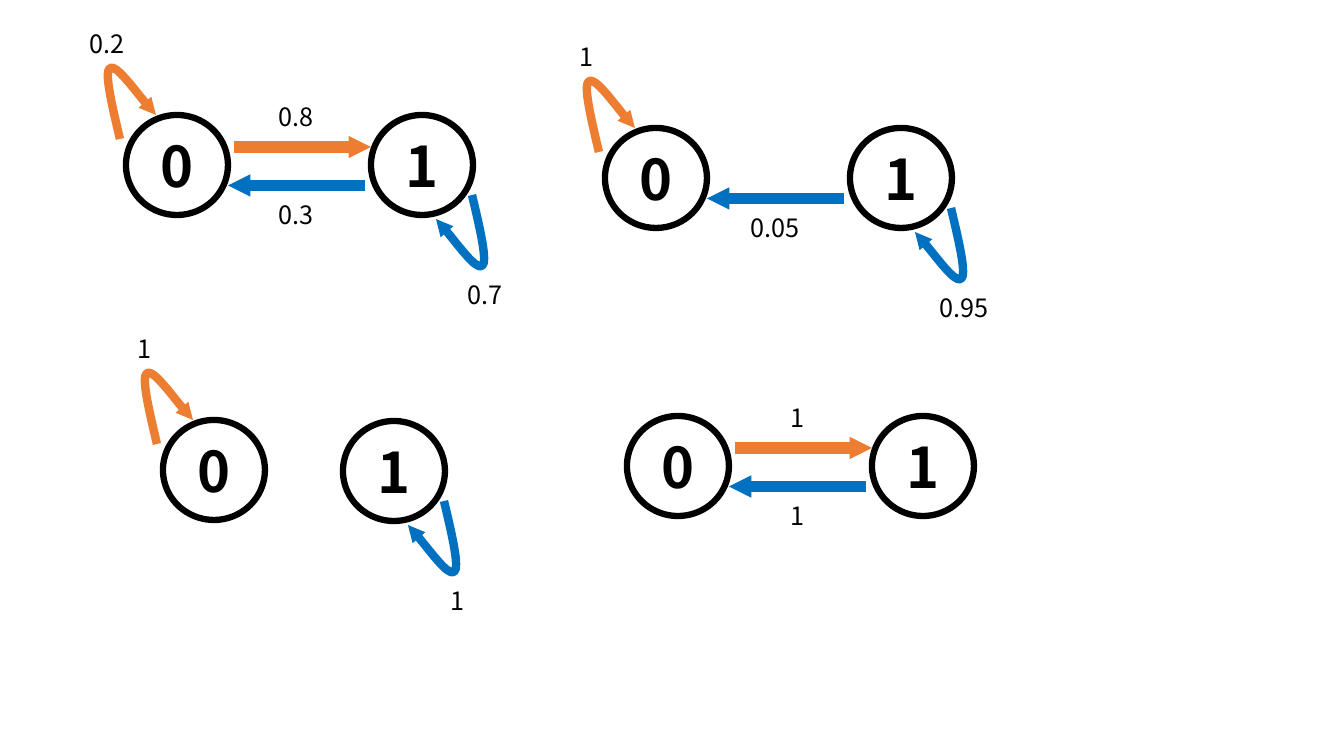
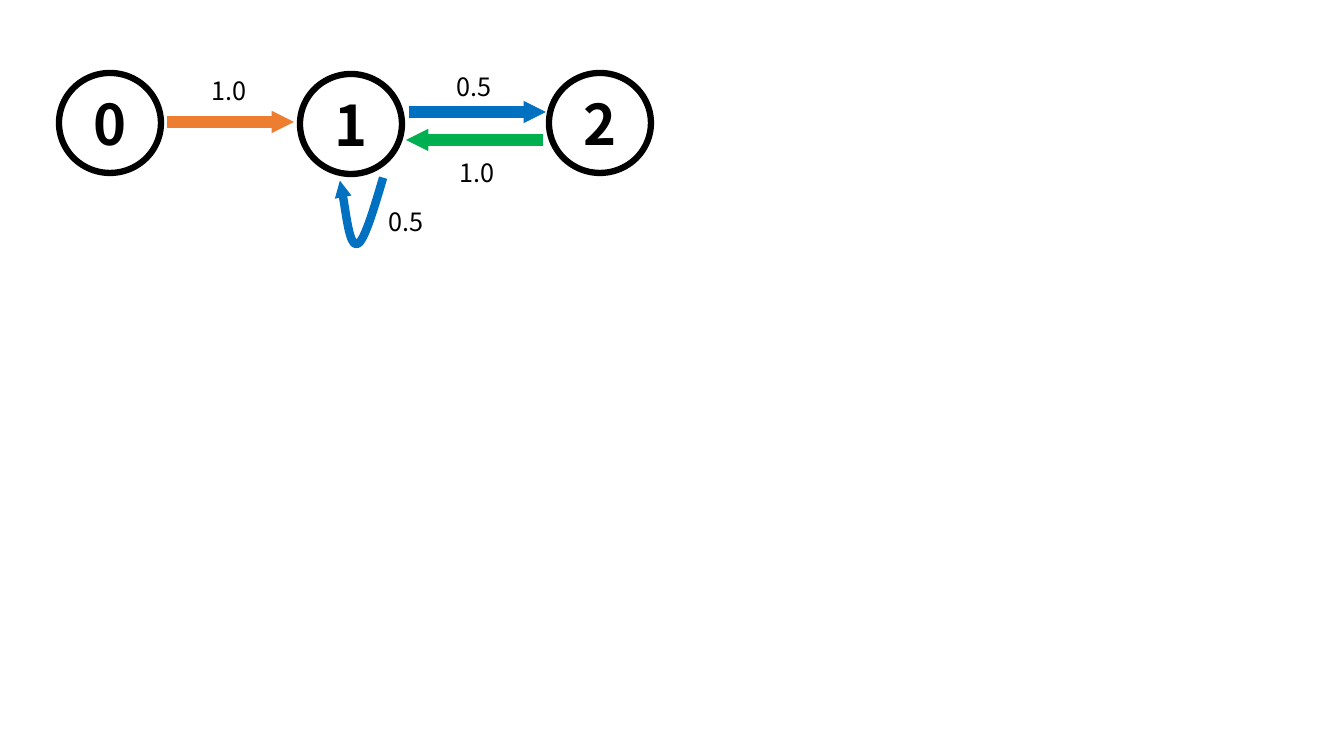
"""Draw Markov chain diagrams on two slides."""
from dataclasses import dataclass

from lxml import etree
from pptx import Presentation
from pptx import util as u
from pptx.dml.color import RGBColor
from pptx.enum import shapes, text
from pptx.oxml.ns import qn


@dataclass(frozen=True)
class Theme:
    """Colours, font, type sizes and line widths in points."""
    black: str = "000000"
    white: str = "FFFFFF"
    orange: str = "ED7D31"
    blue: str = "0070C0"
    green: str = "00B050"
    font: str = "Noto Sans CJK KR"
    state_size: int = 40
    label_size: int = 18
    ring: float = 4.5
    arrow: float = 8
    loop: float = 6


T = Theme()
SCALE = 914400 / 100.8
STATE_W, STATE_H = 102, 100
LABEL_W, LABEL_H, TALL_LABEL_H = 86, 40, 72
LOOP_W, LOOP_H = 48, 71
LOOP_START = (12, 71)
LOOP_CURVES = [[(4, 37), (-4, 4), (2, 0)], [(8, -4), (39, 38), (48, 47)]]


def px(value):
    """Turn pixels into EMU."""
    return u.Emu(round(value * SCALE))


def add_text(sp, words, size, bold=False):
    """Write one centred run into a shape."""
    tf = sp.text_frame
    tf.word_wrap = True
    p = tf.paragraphs[0]
    p.alignment = text.PP_ALIGN.CENTER
    r = p.add_run()
    r.text = words
    r.font.name = T.font
    r.font.size = u.Pt(size)
    r.font.bold = bold
    r.font.color.rgb = RGBColor.from_string(T.black)


def set_line(sp, color, width, arrowhead=False):
    """Style an outline, with a small triangle at its end if asked."""
    sp.line.color.rgb = RGBColor.from_string(color)
    sp.line.width = u.Pt(width)
    if arrowhead:
        ln = sp.element.spPr.find(qn("a:ln"))
        etree.SubElement(ln, qn("a:tailEnd"), type="triangle", w="sm", len="sm")


def add_state(group, x, y, name):
    """Draw a ringed state."""
    sp = group.shapes.add_shape(shapes.MSO_SHAPE.OVAL, px(x), px(y),
                                px(STATE_W), px(STATE_H))
    sp.shadow.inherit = False
    sp.fill.solid()
    sp.fill.fore_color.rgb = RGBColor.from_string(T.white)
    set_line(sp, T.black, T.ring)
    sp.text_frame.vertical_anchor = text.MSO_ANCHOR.MIDDLE
    add_text(sp, name, T.state_size, bold=True)


def add_label(group, x, y, words, height=LABEL_H):
    """Place a transition probability."""
    sp = group.shapes.add_textbox(px(x), px(y), px(LABEL_W), px(height))
    add_text(sp, words, T.label_size)
    sp.text_frame.auto_size = text.MSO_AUTO_SIZE.SHAPE_TO_FIT_TEXT


def add_arrow(group, x1, x2, y, color):
    """Draw a level arrow from x1 to x2."""
    sp = group.shapes.add_connector(shapes.MSO_CONNECTOR.STRAIGHT,
                                    px(x1), px(y), px(x2), px(y))
    set_line(sp, color, T.arrow, arrowhead=True)
    etree.SubElement(sp.element.spPr, qn("a:effectLst"))


def add_points(outline, command, points):
    """Append one drawing command to an outline."""
    node = etree.SubElement(outline, qn(command))
    for x, y in points:
        etree.SubElement(node, qn("a:pt"), x=str(px(x)), y=str(px(y)))


def add_loop(group, x, y, color, rotation=0):
    """Draw a curved self-transition in the box at x, y."""
    builder = group.shapes.build_freeform(px(x), px(y))
    builder.add_line_segments([(px(x + LOOP_W), px(y + LOOP_H))], close=False)
    sp = builder.convert_to_shape()
    outline = next(sp.element.iter(qn("a:path")))
    for node in list(outline):
        outline.remove(node)
    add_points(outline, "a:moveTo", [LOOP_START])
    for curve in LOOP_CURVES:
        add_points(outline, "a:cubicBezTo", curve)
    sp.rotation = rotation
    sp.shadow.inherit = False
    sp.fill.background()
    set_line(sp, color, T.loop, arrowhead=True)


def two_state_chain(s, x, y, gap=245, drop=0, stay0=None, go=None, back=None,
                    stay1=None, stay0_height=LABEL_H):
    """Draw states 0 and 1 with the transitions that have a probability."""
    group = s.shapes.add_group_shape()
    x1, y1 = x + gap, y + drop
    add_state(group, x, y, "0")
    add_state(group, x1, y1, "1")
    if back:
        add_arrow(group, x1 - 6, x + STATE_W, y + 70.5, T.blue)
    if go:
        add_label(group, x + 127, y - 19, go)
    if stay0:
        add_loop(group, x - 18, y - 47, T.orange)
    if back:
        add_label(group, x + 127, y + 79, back)
    if stay0:
        add_label(group, x - 62, y - 92, stay0, stay0_height)
    if stay1:
        add_loop(group, x1 + 65, y1 + 80, T.blue, rotation=180)
        add_label(group, x1 + 71, y1 + 159, stay1)
    if go:
        add_arrow(group, x + 108, x1, y + 32, T.orange)


def three_state_chain(s, x, y):
    """Draw states 0, 1 and 2 in a row."""
    group = s.shapes.add_group_shape()
    for name, dx, dy in (("0", 0, 0), ("1", 241, 1), ("2", 490, 0)):
        add_state(group, x + dx, y + dy, name)
    for start, end, dy, color in ((484, 347, 67, T.green),
                                  (108, 235, 49, T.orange),
                                  (350, 487, 39, T.blue)):
        add_arrow(group, x + start, x + end, y + dy, color)
    add_loop(group, x + 272, y + 94, T.blue, rotation=209.8)
    for words, dx, dy in (("1.0", 127, -3), ("0.5", 304, 128),
                          ("0.5", 372, -7), ("1.0", 375, 79)):
        add_label(group, x + dx, y + dy, words)


def main():
    """Build and save the slides."""
    prs = Presentation()
    prs.slide_width, prs.slide_height = px(1344), px(756)
    blank = prs.slide_layouts[6]

    s = prs.slides.add_slide(blank)
    two_state_chain(s, 126, 115, stay0="0.2", go="0.8", back="0.3", stay1="0.7")
    two_state_chain(s, 605, 128, stay0="1", back="0.05", stay1="0.95",
                    stay0_height=TALL_LABEL_H)
    two_state_chain(s, 163, 420, gap=180, drop=1, stay0="1", stay1="1",
                    stay0_height=TALL_LABEL_H)
    two_state_chain(s, 627, 416, go="1", back="1")

    s = prs.slides.add_slide(blank)
    three_state_chain(s, 59, 73)

    prs.save("out.pptx")


main()
